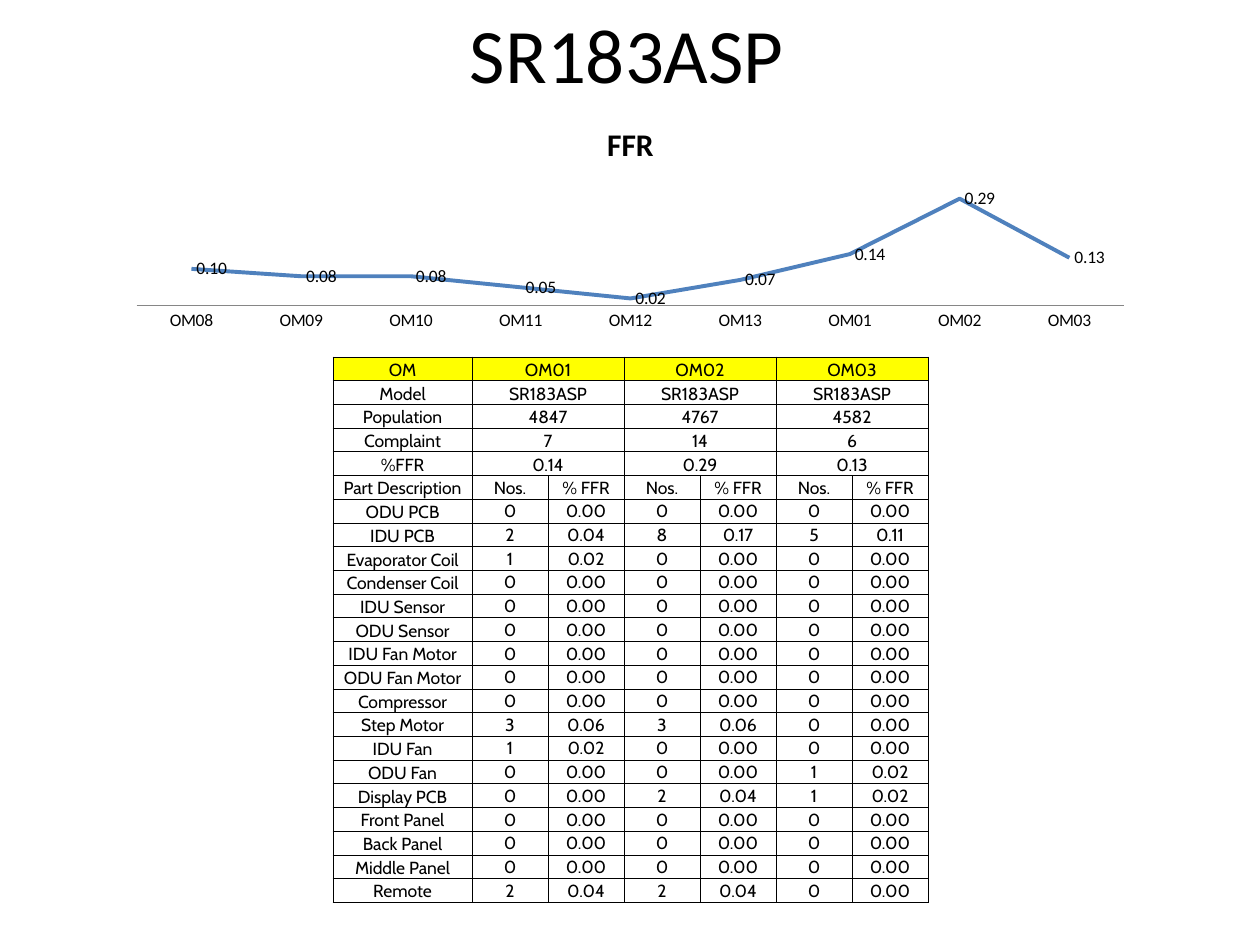
import lxml.etree
import pptx
import pptx.chart.data
import pptx.dml.color
import pptx.enum.chart
import pptx.enum.text
import pptx.oxml.ns
import pptx.util

EMU_PER_PX = 914400 // 126
MODEL = "SR183ASP"
MONTHS = ["OM01", "OM02", "OM03"]
POPULATIONS = [4847, 4767, 4582]
COMPLAINTS = [7, 14, 6]
PART_FAILURES = {
    "ODU PCB": (0, 0, 0),
    "IDU PCB": (2, 8, 5),
    "Evaporator Coil": (1, 0, 0),
    "Condenser Coil": (0, 0, 0),
    "IDU Sensor": (0, 0, 0),
    "ODU Sensor": (0, 0, 0),
    "IDU Fan Motor": (0, 0, 0),
    "ODU Fan Motor": (0, 0, 0),
    "Compressor": (0, 0, 0),
    "Step Motor": (3, 3, 0),
    "IDU Fan": (1, 0, 0),
    "ODU Fan": (0, 0, 1),
    "Display PCB": (0, 2, 1),
    "Front Panel": (0, 0, 0),
    "Back Panel": (0, 0, 0),
    "Middle Panel": (0, 0, 0),
    "Remote": (2, 2, 0),
}
FFR_TREND = {
    "OM08": 0.10, "OM09": 0.08, "OM10": 0.08, "OM11": 0.05, "OM12": 0.02,
    "OM13": 0.07, "OM01": 0.14, "OM02": 0.29, "OM03": 0.13,
}


def px(length):
    return pptx.util.Emu(length * EMU_PER_PX)


def color(value):
    return pptx.dml.color.RGBColor.from_string(value)


def style_font(font, name, size, bold=False):
    font.name = name
    font.size = pptx.util.Pt(size)
    font.bold = bold
    font.color.rgb = color("000000")


def write_centred(text_frame, text, name, size):
    paragraph = text_frame.paragraphs[0]
    paragraph.alignment = pptx.enum.text.PP_ALIGN.CENTER
    run = paragraph.add_run()
    run.text = text
    style_font(run.font, name, size)


def add_title(slide):
    title = slide.shapes.add_textbox(px(60), px(21), px(1134), px(63))
    title.text_frame.word_wrap = True
    title.text_frame.vertical_anchor = pptx.enum.text.MSO_ANCHOR.MIDDLE
    write_centred(title.text_frame, MODEL, "Calibri", 44)


def failure_rate(failures, population):
    return f"{100 * failures / population:.2f}"


def summary_rows():
    """Rows whose monthly value spans two columns."""
    rates = map(failure_rate, COMPLAINTS, POPULATIONS)
    return [
        ["OM", *MONTHS],
        ["Model"] + [MODEL] * len(MONTHS),
        ["Population", *map(str, POPULATIONS)],
        ["Complaint", *map(str, COMPLAINTS)],
        ["%FFR", *rates],
    ]


def part_rows():
    rows = [["Part Description"] + ["Nos.", "% FFR"] * len(MONTHS)]
    for part, counts in PART_FAILURES.items():
        row = [part]
        for count, population in zip(counts, POPULATIONS):
            row += [str(count), failure_rate(count, population)]
        rows.append(row)
    return rows


def add_borders(cell):
    properties = cell._tc.get_or_add_tcPr()
    for position, side in enumerate(("lnL", "lnR", "lnT", "lnB")):
        line = lxml.etree.Element(pptx.oxml.ns.qn(f"a:{side}"), w=str(pptx.util.Pt(0.5)))
        fill = lxml.etree.SubElement(line, pptx.oxml.ns.qn("a:solidFill"))
        lxml.etree.SubElement(fill, pptx.oxml.ns.qn("a:srgbClr"), val="000000")
        properties.insert(position, line)


def style_cell(cell, fill=None):
    cell.margin_left = cell.margin_right = cell.margin_top = px(1)
    cell.margin_bottom = 0
    cell.vertical_anchor = pptx.enum.text.MSO_ANCHOR.BOTTOM
    if fill:
        cell.fill.solid()
        cell.fill.fore_color.rgb = color(fill)
    else:
        cell.fill.background()
    add_borders(cell)


def add_failure_table(slide):
    summary, parts = summary_rows(), part_rows()
    row_count, column_count = len(summary) + len(parts), len(parts[0])
    frame = slide.shapes.add_table(
        row_count, column_count, px(333), px(357), px(595), px(546))
    table = frame.table
    table.first_row = table.horz_banding = False
    for index, column in enumerate(table.columns):
        column.width = px(76 if index else 139)
    for row in table.rows:
        row.height = px(546) // row_count

    for row_index in range(row_count):
        for column_index in range(column_count):
            style_cell(table.cell(row_index, column_index), None if row_index else "FFFF00")

    for row_index, values in enumerate(summary):
        for index, text in enumerate(values):
            cell = table.cell(row_index, max(0, 2 * index - 1))
            if index:
                cell.merge(table.cell(row_index, 2 * index))
            write_centred(cell.text_frame, text, "Cabin", 10)

    for row_index, values in enumerate(parts, len(summary)):
        for column_index, text in enumerate(values):
            cell = table.cell(row_index, column_index)
            if column_index and row_index > len(summary):
                cell.vertical_anchor = pptx.enum.text.MSO_ANCHOR.MIDDLE
            write_centred(cell.text_frame, text, "Cabin", 10)


def set_plot_layout(chart, **fractions):
    """Place the inner plot area by fractions of the chart's size."""
    plot_area = chart.plots[0]._element.getparent()
    qn = pptx.oxml.ns.qn
    for old_layout in plot_area.findall(qn("c:layout")):
        plot_area.remove(old_layout)
    layout = lxml.etree.Element(qn("c:layout"))
    manual = lxml.etree.SubElement(layout, qn("c:manualLayout"))
    settings = {"layoutTarget": "inner", "xMode": "edge", "yMode": "edge", **fractions}
    for name, value in settings.items():
        lxml.etree.SubElement(manual, qn(f"c:{name}"), val=str(value))
    plot_area.insert(0, layout)


def add_trend_chart(slide):
    data = pptx.chart.data.CategoryChartData(number_format="0.00")
    data.categories = list(FFR_TREND)
    data.add_series("FFR", list(FFR_TREND.values()))
    chart = slide.shapes.add_chart(
        pptx.enum.chart.XL_CHART_TYPE.LINE, px(116), px(105), px(1029), px(231), data).chart
    style_font(chart.font, "Calibri", 10)
    chart.has_legend = False
    chart.has_title = True
    title_run = chart.chart_title.text_frame.paragraphs[0].add_run()
    title_run.text = "FFR"
    style_font(title_run.font, "Calibri", 18, bold=True)
    set_plot_layout(chart, x=0.02, y=0.31, w=0.96, h=0.56)

    value_axis = chart.value_axis
    value_axis.visible = False
    value_axis.has_major_gridlines = False
    value_axis.minimum_scale = 0
    value_axis.maximum_scale = 0.35
    category_axis = chart.category_axis
    category_axis.major_tick_mark = pptx.enum.chart.XL_TICK_MARK.NONE
    category_axis.format.line.color.rgb = color("868686")
    category_axis.format.line.width = pptx.util.Pt(0.75)

    plot = chart.plots[0]
    plot.vary_by_categories = False
    series = plot.series[0]
    series.smooth = False
    series.marker.style = pptx.enum.chart.XL_MARKER_STYLE.NONE
    series.format.line.color.rgb = color("4F81BD")
    series.format.line.width = pptx.util.Pt(2.25)
    labels = series.data_labels
    labels.show_value = True
    labels.number_format = "0.00"
    labels.number_format_is_linked = False
    labels.position = pptx.enum.chart.XL_LABEL_POSITION.RIGHT
    style_font(labels.font, "Calibri", 10)


def main():
    presentation = pptx.Presentation()
    presentation.slide_width = px(1260)
    presentation.slide_height = px(945)
    slide = presentation.slides.add_slide(presentation.slide_layouts[6])
    add_title(slide)
    add_failure_table(slide)
    add_trend_chart(slide)
    presentation.save("out.pptx")


if __name__ == "__main__":
    main()
